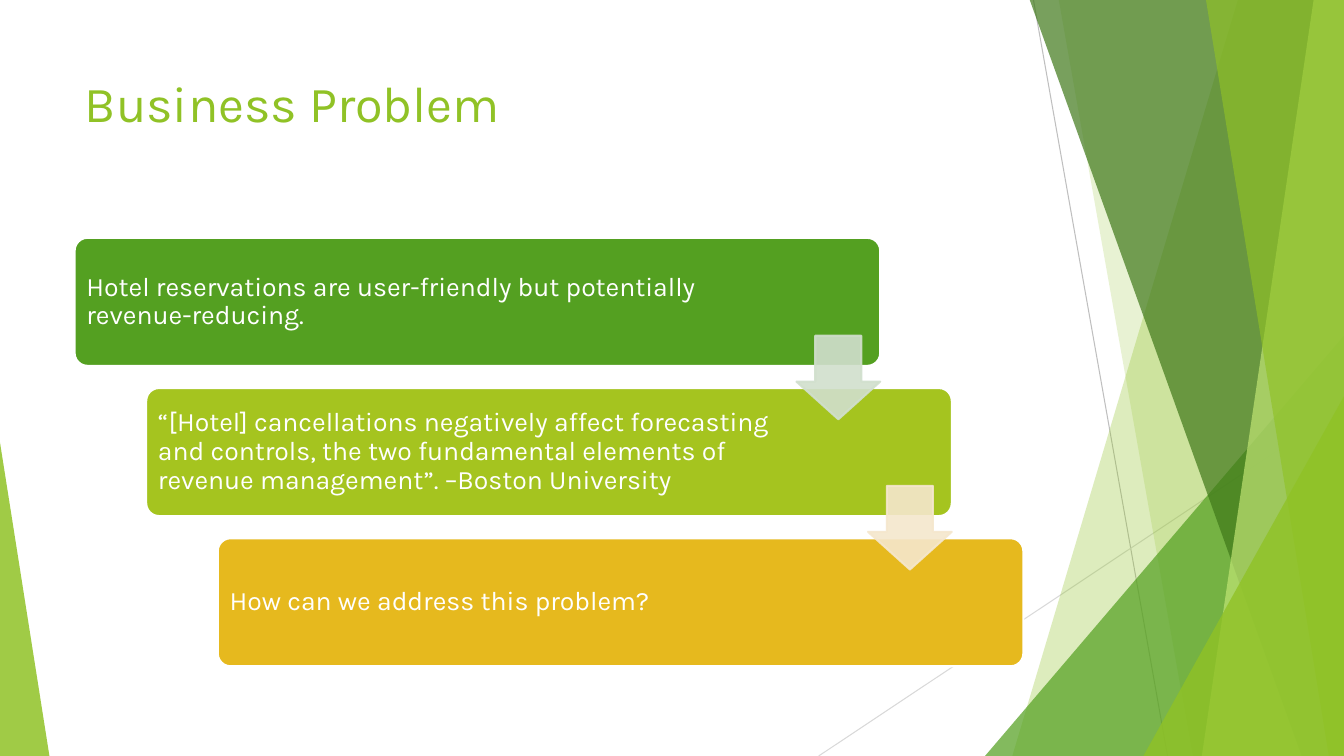
from dataclasses import dataclass

from lxml import etree
from pptx import Presentation
from pptx import util as u
from pptx.dml import color
from pptx.enum import shapes, text
from pptx.oxml import ns

PX = 9144
FONT = "Karla"
COLORS = {
    "white": "FFFFFF",
    "lime": "90C226",
    "green": "54A021",
    "forest": "3F7819",
    "pale": "C0E474",
    "olive": "A5C41F",
    "gold": "E6B91E",
    "mist": "D1DFCD",
    "cream": "F5E7CD",
    "gray": "BFBFBF",
    "silver": "D9D9D9",
}


@dataclass(frozen=True)
class Ray:
    start: tuple[int, int]
    end: tuple[int, int]
    color: str


@dataclass(frozen=True)
class Facet:
    points: tuple[tuple[int, int], ...]
    color: str
    opacity: int


@dataclass(frozen=True)
class Wedge:
    box: tuple[int, int, int, int]
    apex: int
    color: str
    opacity: int


@dataclass(frozen=True)
class Step:
    words: str
    color: str
    right_inset: int
    arrow: str = ""


RAYS = (
    Ray((1025, 0), (1158, 750), "gray"),
    Ray((1333, 403), (812, 750), "silver"),
)
BACKDROP = (
    Facet(((1228, -1), (1333, -1), (1333, 750), (1004, 750)), "lime", 30),
    Facet(((1050, -1), (1333, -1), (1333, 750), (1183, 750)), "lime", 20),
    Wedge((977, 333, 356, 417), 1, "green", 72),
    Facet(((1021, -1), (1333, -1), (1333, 750), (1291, 750)), "forest", 70),
    Facet(((1303, -1), (1333, -1), (1333, 750), (1192, 750)), "pale", 70),
    Facet(((1196, -1), (1333, -1), (1333, 750), (1318, 750)), "lime", 65),
    Wedge((1134, 393, 199, 357), 1, "lime", 80),
    Wedge((0, 439, 49, 311), 0, "lime", 85),
)
STEPS = (
    Step("Hotel reservations are user-friendly but potentially revenue-reducing.",
         "green", 137, "mist"),
    Step("“[Hotel] cancellations negatively affect forecasting and controls, "
         "the two fundamental elements of revenue management”. –Boston University",
         "olive", 161, "cream"),
    Step("How can we address this problem?", "gold", 161),
)
LEFT, TOP = 74, 236
STEP_X, STEP_Y = 71, 149
CARD_W, CARD_H = 799, 127
ARROW_X, ARROW_Y, ARROW_SIZE = 716, 97, 83


def px(n: int) -> u.Emu:
    return u.Emu(n * PX)


def rgb(name: str) -> color.RGBColor:
    return color.RGBColor.from_string(COLORS[name])


def fade(fmt, opacity: int) -> None:
    for clr in fmt._xPr.iter(ns.qn("a:srgbClr")):
        if clr.find(ns.qn("a:alpha")) is None:
            etree.SubElement(clr, ns.qn("a:alpha"), val=str(opacity * 1000))


def paint(sp, fill: str, line: str = "", opacity: int = 100) -> None:
    sp.shadow.inherit = False
    sp.fill.solid()
    sp.fill.fore_color.rgb = rgb(fill)
    if line:
        sp.line.color.rgb = rgb(line)
        sp.line.width = u.Pt(1.5)
    else:
        sp.line.fill.background()
    if opacity < 100:
        fade(sp.fill, opacity)


def write(tf, words: str, size: int, ink: str) -> None:
    tf.text = words
    tf.word_wrap = True
    p = tf.paragraphs[0]
    p.alignment = text.PP_ALIGN.LEFT
    for r in p.runs:
        r.font.name = FONT
        r.font.size = u.Pt(size)
        r.font.color.rgb = rgb(ink)


def draw_ray(s, ray: Ray) -> None:
    line = s.shapes.add_connector(shapes.MSO_CONNECTOR.STRAIGHT,
                                  *map(px, ray.start + ray.end))
    line.line.color.rgb = rgb(ray.color)
    line.line.width = u.Pt(0.75)
    etree.SubElement(line._element.spPr, ns.qn("a:effectLst"))


def draw_facet(s, facet: Facet) -> None:
    builder = s.shapes.build_freeform(*facet.points[0], scale=PX)
    builder.add_line_segments(facet.points[1:], close=True)
    paint(builder.convert_to_shape(), facet.color, opacity=facet.opacity)


def draw_wedge(s, wedge: Wedge) -> None:
    sp = s.shapes.add_shape(shapes.MSO_SHAPE.ISOSCELES_TRIANGLE, *map(px, wedge.box))
    sp.adjustments[0] = wedge.apex
    paint(sp, wedge.color, opacity=wedge.opacity)


def draw_card(s, step: Step, x: int, y: int) -> None:
    sp = s.shapes.add_shape(shapes.MSO_SHAPE.ROUNDED_RECTANGLE,
                            px(x), px(y), px(CARD_W), px(CARD_H))
    sp.adjustments[0] = 0.1
    paint(sp, step.color, "white")
    tf = sp.text_frame
    write(tf, step.words, 19, "white")
    tf.margin_left = tf.margin_top = tf.margin_bottom = px(8)
    tf.margin_right = px(step.right_inset)
    tf.vertical_anchor = text.MSO_ANCHOR.MIDDLE
    tf.paragraphs[0].line_spacing = 0.9


def draw_arrow(s, step: Step, x: int, y: int) -> None:
    sp = s.shapes.add_shape(shapes.MSO_SHAPE.DOWN_ARROW,
                            px(x + ARROW_X), px(y + ARROW_Y),
                            px(ARROW_SIZE), px(ARROW_SIZE))
    sp.adjustments[0] = 0.55
    sp.adjustments[1] = 0.45
    paint(sp, step.arrow, step.arrow, 90)


def set_title(s, words: str) -> None:
    title = s.shapes.title
    title.left, title.top, title.width, title.height = map(px, (74, 67, 940, 144))
    tf = title.text_frame
    write(tf, words, 36, "lime")
    tf.auto_size = text.MSO_AUTO_SIZE.NONE
    tf.vertical_anchor = text.MSO_ANCHOR.TOP


def main() -> None:
    prs = Presentation()
    prs.slide_width, prs.slide_height = px(1333), px(750)
    s = prs.slides.add_slide(prs.slide_layouts[5])
    for ray in RAYS:
        draw_ray(s, ray)
    for part in BACKDROP:
        if isinstance(part, Facet):
            draw_facet(s, part)
        else:
            draw_wedge(s, part)
    set_title(s, "Business Problem")
    placed = [(step, LEFT + i * STEP_X, TOP + i * STEP_Y) for i, step in enumerate(STEPS)]
    for step, x, y in placed:
        draw_card(s, step, x, y)
    for step, x, y in placed:
        if step.arrow:
            draw_arrow(s, step, x, y)
    prs.save("out.pptx")


if __name__ == "__main__":
    main()
